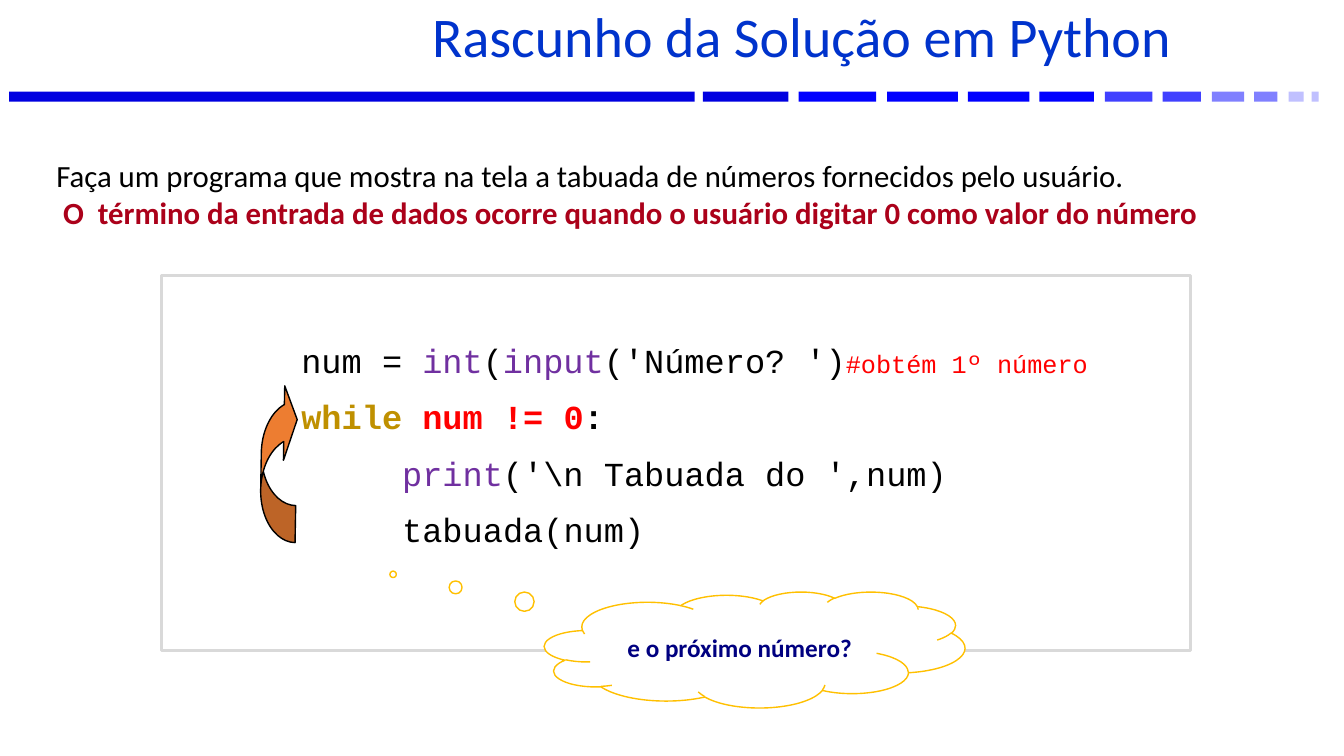
import pptx
import pptx.dml.color
import pptx.enum.shapes
import pptx.enum.text
import pptx.oxml.ns
import pptx.util

RGBColor = pptx.dml.color.RGBColor
Pt = pptx.util.Pt
Shape = pptx.enum.shapes.MSO_SHAPE
Align = pptx.enum.text.PP_ALIGN
Anchor = pptx.enum.text.MSO_ANCHOR

# The grid has 133.3 columns and 75 rows, each a tenth of an inch.
CELL = pptx.util.Inches(0.1)
COLUMNS, ROWS = 133.3, 75

BLACK = RGBColor(0x00, 0x00, 0x00)
WHITE = RGBColor(0xFF, 0xFF, 0xFF)
TITLE_BLUE = RGBColor(0x00, 0x33, 0xCC)
NAVY = RGBColor(0x00, 0x00, 0x80)
DARK_RED = RGBColor(0xAB, 0x01, 0x1A)
RED = RGBColor(0xFF, 0x00, 0x00)
PURPLE = RGBColor(0x70, 0x30, 0xA0)
OCHRE = RGBColor(0xBF, 0x90, 0x00)
GOLD = RGBColor(0xFF, 0xC0, 0x00)
ORANGE = RGBColor(0xED, 0x7D, 0x31)
LIGHT_GREY = RGBColor(0xD9, 0xD9, 0xD9)
BAR_DEEP = RGBColor(0x00, 0x00, 0xE0)
BAR_BLUE = RGBColor(0x00, 0x00, 0xFF)
BAR_MEDIUM = RGBColor(0x40, 0x40, 0xFF)
BAR_LIGHT = RGBColor(0x80, 0x80, 0xFF)
BAR_PALE = RGBColor(0xC0, 0xC0, 0xFF)

BODY_FONT, CODE_FONT = "Calibri", "Courier New"

# Left column, width in columns, colour
BAR_DASHES = [
    (0.9, 68, BAR_DEEP), (69.7, 8.5, BAR_DEEP),
    (79.2, 7.7, BAR_BLUE), (88, 7, BAR_BLUE),
    (96, 6.1, BAR_BLUE), (103.1, 5.4, BAR_BLUE),
    (109.6, 4.7, BAR_MEDIUM), (115.3, 3.8, BAR_MEDIUM),
    (120.2, 3.2, BAR_LIGHT), (124.4, 2.3, BAR_LIGHT),
    (127.8, 1.5, BAR_PALE), (130.1, 0.7, BAR_PALE),
]

# Indent level, then runs of text, colour, bold, size
CODE_LINES = [
    (0, [("num = ", BLACK, False, 24), ("int", PURPLE, False, 24),
         ("(", BLACK, False, 24), ("input", PURPLE, False, 24),
         ("('Número? ')", BLACK, False, 24),
         ("#obtém 1º número", RED, False, 18)]),
    (0, [("while ", OCHRE, True, 24), ("num != 0", RED, True, 24),
         (":", BLACK, True, 24)]),
    (1, [("print", PURPLE, False, 24),
         ("('\\n Tabuada do ',num)", BLACK, False, 24)]),
    (1, [("tabuada(num)", BLACK, False, 24)]),
]


def grid(*cells):
    return [round(cell * CELL) for cell in cells]


def add_outline(slide, kind, cells, fill=None, line=None, line_width=1):
    """Add a preset shape; without a colour, its fill or line is absent."""
    shape = slide.shapes.add_shape(kind, *grid(*cells))
    shape.shadow.inherit = False
    if fill is None:
        shape.fill.background()
    else:
        shape.fill.solid()
        shape.fill.fore_color.rgb = fill
    if line is None:
        shape.line.fill.background()
    else:
        shape.line.color.rgb = line
        shape.line.width = Pt(line_width)
    return shape


def add_runs(paragraph, runs, font_name, align=Align.LEFT):
    paragraph.alignment = align
    for text, color, bold, size in runs:
        run = paragraph.add_run()
        run.text = text
        run.font.name = font_name
        run.font.size = Pt(size)
        run.font.bold = bold
        run.font.color.rgb = color


def next_paragraph(frame, index):
    return frame.add_paragraph() if index else frame.paragraphs[0]


def add_text_box(slide, cells, lines, align=Align.LEFT, anchor=Anchor.TOP):
    frame = slide.shapes.add_textbox(*grid(*cells)).text_frame
    frame.word_wrap = True
    frame.vertical_anchor = anchor
    for index, runs in enumerate(lines):
        add_runs(next_paragraph(frame, index), runs, BODY_FONT, align)
    return frame


def add_title_bar(slide):
    for left, width, color in BAR_DASHES:
        add_outline(slide, Shape.RECTANGLE, (left, 9.1, width, 1), color)


def add_code_panel(slide):
    panel = add_outline(slide, Shape.RECTANGLE, (16, 27.3, 102.1, 37.2),
                        line=LIGHT_GREY, line_width=2)
    frame = panel.text_frame
    frame.word_wrap = True
    frame.vertical_anchor = Anchor.TOP
    frame.margin_top, = grid(6.4)
    for index, (level, runs) in enumerate(CODE_LINES):
        paragraph = next_paragraph(frame, index)
        margin, = grid(12.9 + 10 * level)
        properties = paragraph._p.get_or_add_pPr()
        properties.set("marL", str(margin))
        properties.set("indent", "0")
        if index:
            paragraph.space_before = Pt(11.6)
        add_runs(paragraph, runs, CODE_FONT)


def add_loop_arrow(slide):
    arrow = add_outline(slide, Shape.CURVED_RIGHT_ARROW,
                        (25.9, 37.9, 3.5, 15.9), ORANGE, BLACK)
    for index, value in enumerate((1.05, 2.11, 0.37)):
        arrow.adjustments[index] = value
    arrow.rotation = 181
    frame = arrow._element.spPr.find(pptx.oxml.ns.qn("a:xfrm"))
    frame.set("flipH", "1")


def add_thought_cloud(slide):
    cloud = add_outline(slide, Shape.CLOUD_CALLOUT,
                        (54, 58.7, 41.7, 11.5), WHITE, GOLD)
    cloud.adjustments[0] = -0.86
    cloud.adjustments[1] = -0.65
    frame = cloud.text_frame
    frame.word_wrap = True
    frame.vertical_anchor = Anchor.MIDDLE
    add_runs(frame.paragraphs[0], [("e o próximo número?", NAVY, True, 18)],
             BODY_FONT, Align.CENTER)


def main():
    presentation = pptx.Presentation()
    presentation.slide_width, presentation.slide_height = grid(COLUMNS, ROWS)
    slide = presentation.slides.add_slide(presentation.slide_layouts[6])

    add_title_bar(slide)
    title = add_text_box(
        slide, (25.7, 0.6, 107.6, 7),
        [[("Rascunho da Solução em Python", TITLE_BLUE, False, 40)]],
        Align.CENTER, Anchor.MIDDLE)
    title.paragraphs[0].line_spacing = 0.8
    add_code_panel(slide)
    add_text_box(slide, (4.6, 15.1, 124.9, 8.4), [
        [("Faça um programa que mostra na tela a tabuada de números "
          "fornecidos pelo usuário.", BLACK, False, 22)],
        [(" ", BLACK, False, 22),
         ("O  término da entrada de dados ocorre quando o usuário "
          "digitar 0 como valor do número", DARK_RED, True, 22)],
    ])
    add_loop_arrow(slide)
    add_thought_cloud(slide)
    presentation.save("out.pptx")


if __name__ == "__main__":
    main()
